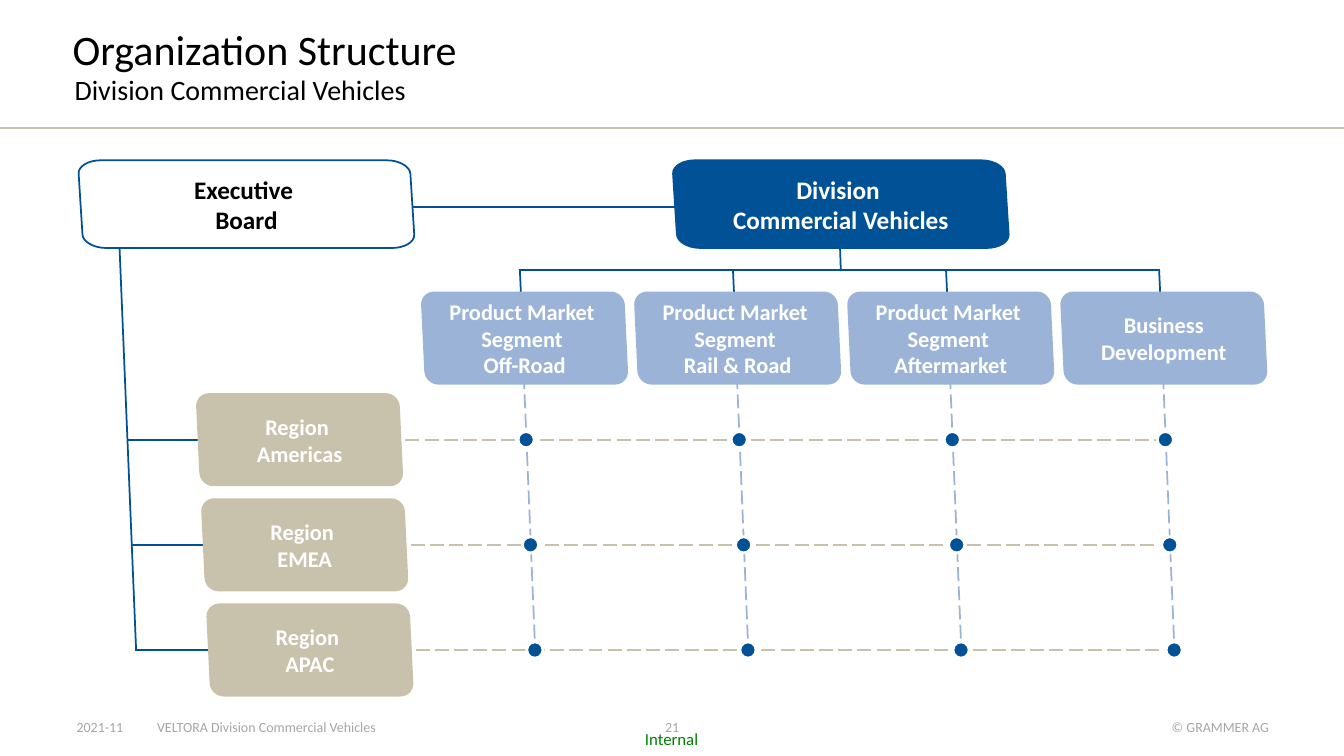
import math

from lxml import etree
from pptx import Presentation
from pptx.dml.color import RGBColor
from pptx.enum.dml import MSO_LINE
from pptx.enum.shapes import MSO_CONNECTOR, MSO_SHAPE
from pptx.enum.text import MSO_ANCHOR, PP_ALIGN
from pptx.oxml.ns import qn
from pptx.util import Cm, Pt

LEFT, CENTER, RIGHT = PP_ALIGN.LEFT, PP_ALIGN.CENTER, PP_ALIGN.RIGHT
TOP, MIDDLE, BOTTOM = MSO_ANCHOR.TOP, MSO_ANCHOR.MIDDLE, MSO_ANCHOR.BOTTOM
LONG_DASH = MSO_LINE.LONG_DASH
STRAIGHT = MSO_CONNECTOR.STRAIGHT
OVAL = MSO_SHAPE.OVAL

NAVY, BLUE, SAND = "005195", "9BB3D7", "C8C1AB"
WHITE, BLACK, GRAY, GREEN = "FFFFFF", "000000", "A6A6A6", "008000"


def color(value):
    return RGBColor.from_string(value)


class Chart:
    """Draws the elements of an organization chart; lengths are in cm."""

    font = "Calibri"
    line_width = 1.25

    def __init__(self, page):
        self.page = page
        self.shapes = page.shapes

    def add_span(self, para, text, size, ink, bold=False):
        span = para.add_run()
        span.text = text
        span.font.name = self.font
        span.font.size = Pt(size)
        span.font.bold = bold
        span.font.color.rgb = color(ink)

    def fill_label(self, box, text, size, ink, align, anchor, spacing):
        frame = box.text_frame
        frame.word_wrap = True
        frame.vertical_anchor = anchor
        frame.margin_left = frame.margin_right = 0
        frame.margin_top = frame.margin_bottom = 0
        para = frame.paragraphs[0]
        para.alignment = align
        para.line_spacing = spacing
        self.add_span(para, text, size, ink)

    def title(self, left, top, width, height, text, size):
        box = self.shapes.title
        box.left, box.top = Cm(left), Cm(top)
        box.width, box.height = Cm(width), Cm(height)
        self.fill_label(box, text, size, BLACK, LEFT, BOTTOM, 0.9)

    def label(self, left, top, width, height, text, size, ink,
              align=LEFT, anchor=BOTTOM, spacing=1.0):
        box = self.shapes.add_textbox(Cm(left), Cm(top), Cm(width), Cm(height))
        self.fill_label(box, text, size, ink, align, anchor, spacing)

    def line(self, x1, y1, x2, y2, ink=NAVY, dash=None, width=line_width):
        line = self.shapes.add_connector(STRAIGHT, Cm(x1), Cm(y1), Cm(x2), Cm(y2))
        line.line.color.rgb = color(ink)
        line.line.width = Pt(width)
        if dash:
            line.line.dash_style = dash
        etree.SubElement(line._element.spPr, qn("a:effectLst"))

    def dot(self, x, y, size=0.41):
        dot = self.shapes.add_shape(
            OVAL, Cm(x - size / 2), Cm(y - size / 2), Cm(size), Cm(size))
        dot.shadow.inherit = False
        dot.fill.solid()
        dot.fill.fore_color.rgb = color(NAVY)
        dot.line.color.rgb = color(WHITE)
        dot.line.width = Pt(2)

    def outline(self, left, top, width, height, radius_x, radius_y, skew):
        """Points of a rounded box that leans to the right, clockwise."""
        points = []
        for quarter in range(4):
            at_right, at_bottom = quarter in (1, 2), quarter in (2, 3)
            center_x = width - skew - radius_x if at_right else radius_x
            center_y = height - radius_y if at_bottom else radius_y
            for step in range(9):
                angle = math.pi + (quarter + step / 8) * math.pi / 2
                y = center_y + radius_y * math.sin(angle)
                x = center_x + radius_x * math.cos(angle) + skew * y / height
                points.append((Cm(left + x), Cm(top + y)))
        return points

    def unit(self, left, top, size, corner, paragraphs, text_size,
             fill, border, ink=WHITE):
        points = self.outline(left, top, *size, *corner)
        builder = self.shapes.build_freeform(*points[0])
        builder.add_line_segments(points[1:], close=True)
        box = builder.convert_to_shape()
        box.shadow.inherit = False
        box.fill.solid()
        box.fill.fore_color.rgb = color(fill)
        box.line.color.rgb = color(border)
        box.line.width = Pt(self.line_width)
        frame = box.text_frame
        frame.word_wrap = False
        frame.vertical_anchor = MIDDLE
        for index, lines in enumerate(paragraphs):
            para = frame.add_paragraph() if index else frame.paragraphs[0]
            para.alignment = CENTER
            for number, text in enumerate(lines):
                if number:
                    para.add_line_break()
                self.add_span(para, text, text_size, ink, bold=True)


def main():
    deck = Presentation()
    deck.slide_width, deck.slide_height = Cm(33.87), Cm(19.05)
    chart = Chart(deck.slides.add_slide(deck.slide_layouts[5]))

    # Heading
    chart.title(1.83, 0.69, 25.98, 1.19, "Organization Structure", 30)
    chart.label(1.88, 1.93, 25.96, 0.69, "Division Commercial Vehicles", 20,
                BLACK, anchor=TOP, spacing=0.9)
    chart.line(0, 3.23, 33.87, 3.23, SAND, width=1)

    # Footer
    for left, width, text, align in (
            (1.93, 1.8, "2021-11", LEFT),
            (3.96, 9.25, "VELTORA Division Commercial Vehicles", LEFT),
            (16.38, 1.12, "21", CENTER),
            (29.41, 2.57, "© GRAMMER AG", RIGHT)):
        chart.label(left, 18.11, width, 0.41, text, 10, GRAY, align)
    chart.label(15.82, 18.24, 2.21, 0.81, "Internal", 12, GREEN,
                CENTER, MIDDLE, 0.9)

    # Matrix: segments are columns, regions are rows
    segments = (
        (("Product Market ", "Segment "), ("Off-Road",)),
        (("Product Market ", "Segment "), ("Rail & Road",)),
        (("Product Market ", "Segment "), ("Aftermarket",)),
        (("Business", "Development"),),
    )
    regions = (("Americas", 29.57), ("EMEA", 29.29), ("APAC", 29.39))
    column_step, row_step, row_shift = 5.37, 2.65, 0.13
    row_y = [11.08 + row_step * row for row in range(len(regions))]

    # Solid lines from the board and the division
    chart.line(2.95, 5.21, 18.67, 5.21)
    chart.line(2.97, 5.21, 3.43, row_y[-1])
    chart.line(21.16, 5.97, 21.19, 6.83)
    chart.line(13.08, 6.81, 29.24, 6.81)

    # Lines of the regions
    for row, (name, line_end) in enumerate(regions):
        chart.line(3.23 + 0.09 * row, row_y[row], 9.1, row_y[row])
        chart.line(8.28 + row_shift * row, row_y[row], line_end, row_y[row],
                   SAND, LONG_DASH)

    # Lines and crossing points of the segments
    for column in range(len(segments)):
        shift = column_step * column
        chart.line(13.1 + shift, 6.78, 13.14 + shift, 7.65)
        chart.line(13.18 + shift, 8.97, 13.49 + shift, 16.46, BLUE, LONG_DASH)
        for row, y in enumerate(row_y):
            chart.dot(13.26 + shift + 0.11 * row, y)

    # Top boxes
    top_size, top_corner = (8.5, 2.21), (0.58, 0.34, 0.14)
    chart.unit(1.96, 4.04, top_size, top_corner, [("Executive ", "Board")],
               18, WHITE, NAVY, BLACK)
    chart.unit(16.94, 4.04, top_size, top_corner,
               [("Division ", "Commercial Vehicles")], 18, NAVY, NAVY)

    # Region and segment boxes
    size, corner = (5.2, 2.3), (0.32, 0.32, 0.11)
    for row, (name, line_end) in enumerate(regions):
        chart.unit(4.95 + row_shift * row, 9.93 + row_step * row, size, corner,
                   [("Region ", name)], 16, SAND, SAND)
    for column, paragraphs in enumerate(segments):
        chart.unit(10.62 + column_step * column, 7.37, size, corner,
                   paragraphs, 16, BLUE, BLUE)

    deck.save("out.pptx")


if __name__ == "__main__":
    main()
